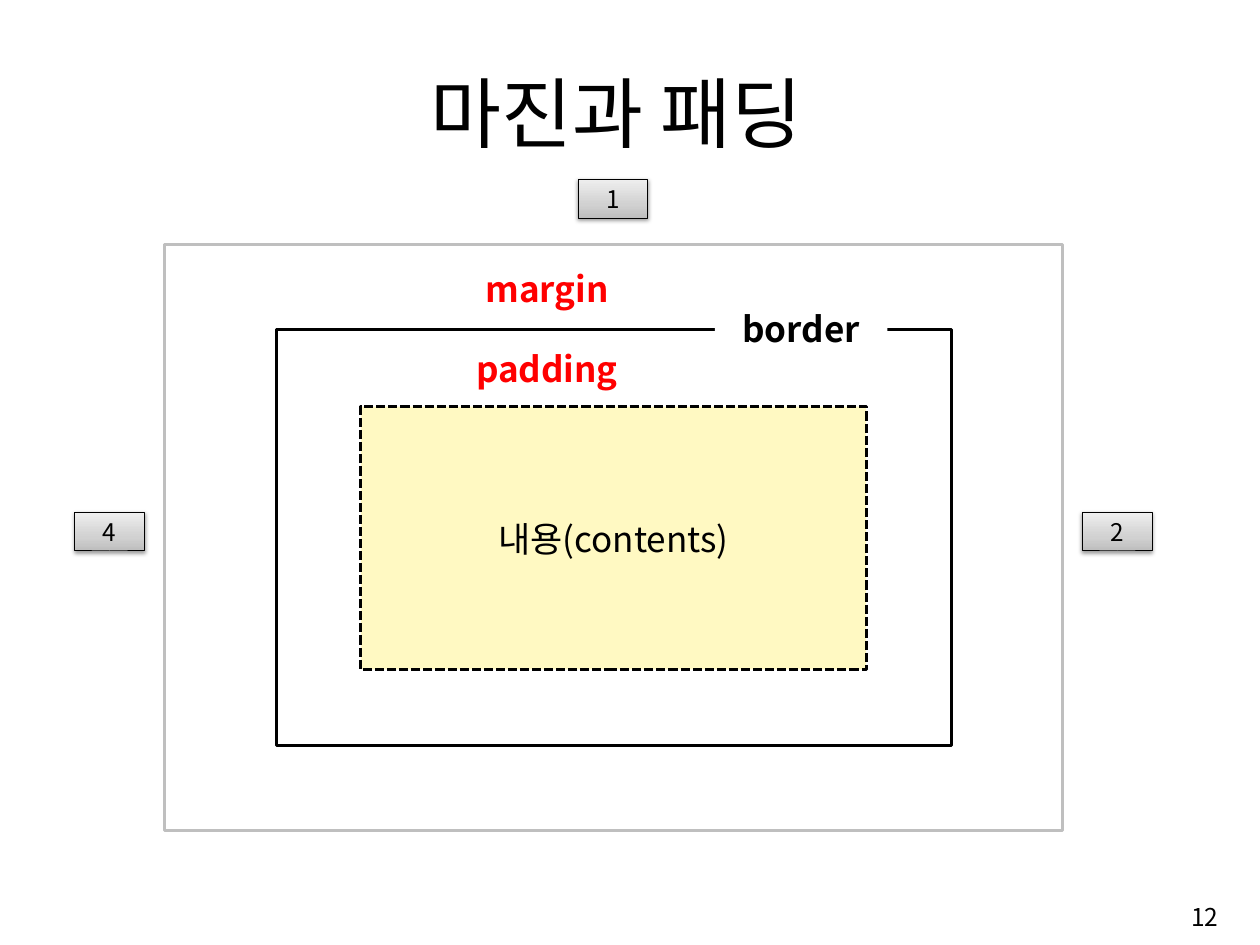
from lxml import etree
from pptx import Presentation
from pptx.dml.color import RGBColor
from pptx.enum.dml import MSO_LINE
from pptx.enum.shapes import MSO_SHAPE
from pptx.enum.text import MSO_ANCHOR, PP_ALIGN
from pptx.oxml import parse_xml
from pptx.oxml.ns import nsdecls, qn
from pptx.util import Inches, Pt

FONT = "Noto Sans CJK KR"
BLACK, RED, WHITE = "000000", "FF0000", "FFFFFF"

# left, top, width, height, line colour
FRAMES = [
    (1.7, 2.52, 9.25, 6.04, "BFBFBF"),
    (2.85, 3.4, 6.96, 4.28, BLACK),
]
CONTENT = (3.72, 4.19, 5.21, 2.71)
# text, left, top, width, fill, colour
LABELS = [
    ("padding", 4.55, 3.53, 2.18, None, RED),
    ("margin", 4.55, 2.7, 2.18, None, RED),
    ("border", 7.37, 3.12, 1.78, WHITE, BLACK),
]
LABEL_H = 0.54
TAGS = [("1", 5.96, 1.85), ("2", 11.16, 5.28), ("4", 0.77, 5.28)]
TAG_W, TAG_H = 0.72, 0.4
STOPS = [(0, "BDBDBD"), (35, "D1D1D1"), (100, "EEEEEE")]


def rgb(code):
    return RGBColor.from_string(code)


def write(shape, text, size, color=BLACK, bold=False, align=PP_ALIGN.CENTER):
    frame = shape.text_frame
    frame.word_wrap = True
    frame.vertical_anchor = MSO_ANCHOR.MIDDLE
    frame.text = text
    para = frame.paragraphs[0]
    para.alignment = align
    for run in para.runs:
        font = run.font
        font.size, font.bold, font.name = Pt(size), bold, FONT
        font.color.rgb = rgb(color)
        east = etree.SubElement(font._element, qn("a:ea"))
        east.set("typeface", FONT)


def add_text(slide, box, *args, **kwargs):
    shape = slide.shapes.add_textbox(*map(Inches, box))
    write(shape, *args, **kwargs)


def add_rect(slide, box, fill=None, line=None, width=2.25):
    shape = slide.shapes.add_shape(MSO_SHAPE.RECTANGLE, *map(Inches, box))
    shape.shadow.inherit = False
    if fill:
        shape.fill.solid()
        shape.fill.fore_color.rgb = rgb(fill)
    else:
        shape.fill.background()
    if line:
        shape.line.color.rgb = rgb(line)
        shape.line.width = Pt(width)
    else:
        shape.line.fill.background()
    return shape


def raise_tag(shape):
    """Give a tag its grey gradient and soft shadow below."""
    props = shape._element.spPr
    stops = "".join(
        f'<a:gs pos="{pos * 1000}"><a:srgbClr val="{code}"/></a:gs>'
        for pos, code in STOPS)
    grad = parse_xml(
        f'<a:gradFill {nsdecls("a")} rotWithShape="1"><a:gsLst>{stops}</a:gsLst>'
        '<a:lin ang="16200000" scaled="0"/></a:gradFill>')
    props.replace(props.find(qn("a:noFill")), grad)
    shadow = parse_xml(
        f'<a:outerShdw {nsdecls("a")} blurRad="{Pt(3.1)}" dist="{Pt(1.6)}" '
        f'dir="5400000" rotWithShape="0"><a:srgbClr val="{BLACK}">'
        '<a:alpha val="38000"/></a:srgbClr></a:outerShdw>')
    props.find(qn("a:effectLst")).append(shadow)


def main():
    prs = Presentation()
    prs.slide_width, prs.slide_height = Inches(12.99), Inches(9.74)
    slide = prs.slides.add_slide(prs.slide_layouts[6])

    for *box, line in FRAMES:
        add_rect(slide, box, line=line)
    add_text(slide, (1.05, 0.61, 10.61, 1.08), "마진과 패딩", 57.2)

    content = add_rect(slide, CONTENT, "FFF9C2", BLACK)
    content.line.dash_style = MSO_LINE.SQUARE_DOT
    write(content, "내용(contents)", 26)

    for text, left, top, width, fill, color in LABELS:
        box = (left, top, width, LABEL_H)
        if fill:
            write(add_rect(slide, box, fill), text, 26, color, bold=True)
        else:
            add_text(slide, box, text, 26, color, bold=True)

    for text, left, top in TAGS:
        tag = add_rect(slide, (left, top, TAG_W, TAG_H), line=BLACK, width=0.75)
        raise_tag(tag)
        write(tag, text, 18)

    add_text(slide, (9.95, 9.15, 2.71, 0.6), "12", 18.2, align=PP_ALIGN.RIGHT)
    prs.save("out.pptx")


if __name__ == "__main__":
    main()
